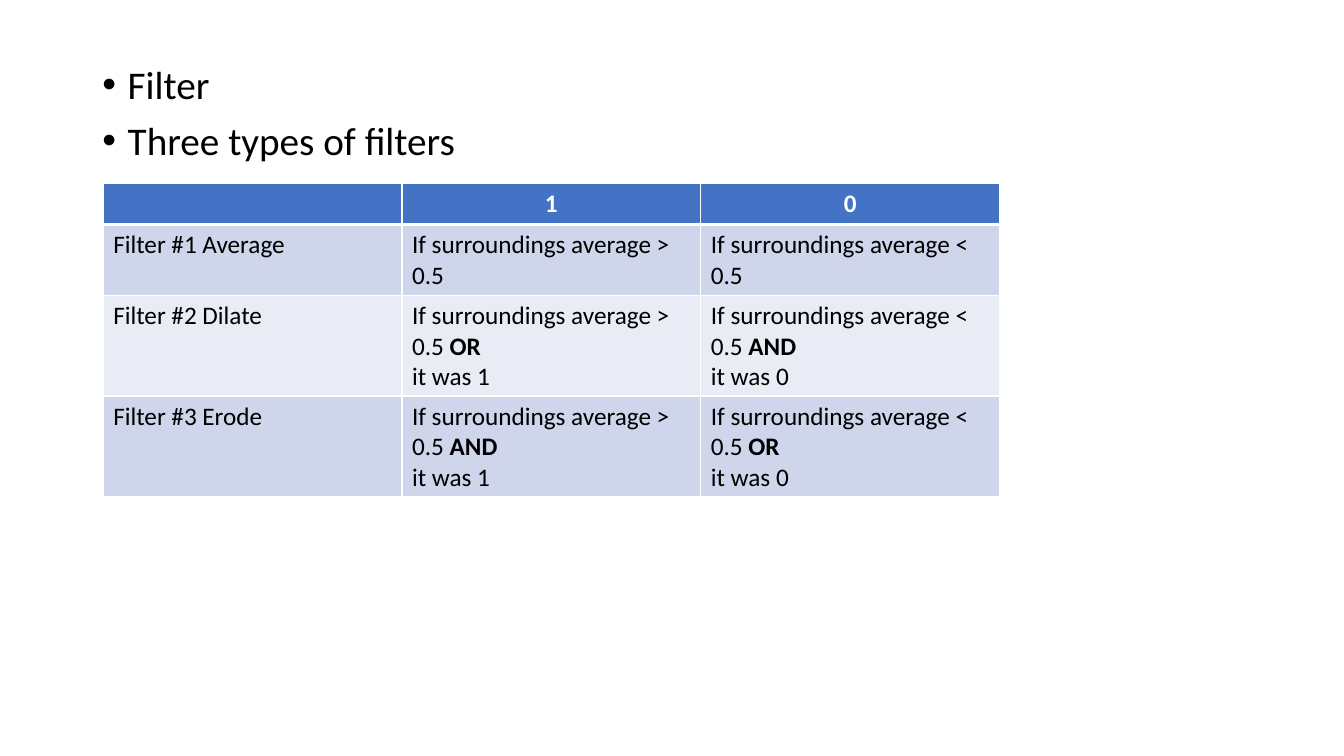
from pptx import Presentation
from pptx.util import Cm, Pt
from pptx.dml.color import RGBColor as RGB
from pptx.enum.text import PP_ALIGN as Align
from pptx.oxml import parse_xml
from pptx.oxml.ns import nsdecls

# Content: a cell is a list of lines, a line is (plain text, bold ending)
POINTS = ["Filter", "Three types of filters"]
HEADS = ["", "1", "0"]
MORE, LESS = "If surroundings average > 0.5", "If surroundings average < 0.5"
ROWS = [
    ("Filter #1 Average", [(MORE, "")], [(LESS, "")]),
    ("Filter #2 Dilate", [(MORE + " ", "OR"), ("it was 1", "")],
     [(LESS + " ", "AND"), ("it was 0", "")]),
    ("Filter #3 Erode", [(MORE + " ", "AND"), ("it was 1", "")],
     [(LESS + " ", "OR"), ("it was 0", "")]),
]
COLORS = {"head": "4472C4", "odd": "CFD5EA", "even": "E9EBF5",
          "line": "FFFFFF", "text": "000000"}
FONT = "Calibri"
COL, ROW = Cm(7.53), Cm(1.03)


def style(para, size, color, bold=None):
    font = para.font
    font.name, font.size, font.bold = FONT, Pt(size), bold
    font.color.rgb = RGB.from_string(COLORS[color])


def paint(cell, color, base):
    """Draw the cell's borders, then its fill."""
    props = cell._tc.get_or_add_tcPr()
    for side, width in zip("LRTB", (1, 1, 1, base)):
        props.append(parse_xml(
            f'<a:ln{side} {nsdecls("a")} w="{Pt(width)}"><a:solidFill>'
            f'<a:srgbClr val="{COLORS["line"]}"/></a:solidFill></a:ln{side}>'))
    cell.fill.solid()
    cell.fill.fore_color.rgb = RGB.from_string(COLORS[color])


def write(cell, lines):
    frame = cell.text_frame
    for i, (plain, strong) in enumerate(lines):
        para = frame.add_paragraph() if i else frame.paragraphs[0]
        style(para, 18, "text", False)
        para.add_run().text = plain
        if strong:
            run = para.add_run()
            run.text, run.font.bold = strong, True


deck = Presentation()
deck.slide_width, deck.slide_height = Cm(33.87), Cm(19.05)
slide = deck.slides.add_slide(deck.slide_layouts[6])

# Bullet points
frame = slide.shapes.add_textbox(Cm(2.33), Cm(1.52), Cm(29.21), Cm(15.65)).text_frame
frame.word_wrap = True
for i, point in enumerate(POINTS):
    para = frame.add_paragraph() if i else frame.paragraphs[0]
    para.text = point
    para.line_spacing, para.space_before = 0.9, Pt(10)
    style(para, 28, "text")
    props = para._p.get_or_add_pPr()
    props.set("marL", str(Cm(0.64)))
    props.set("indent", str(-Cm(0.64)))
    for mark in ('buFont %s typeface="Arial"', 'buChar %s char="•"'):
        props.insert_element_before(
            parse_xml(f'<a:{mark % nsdecls("a")}/>'), "a:tabLst", "a:defRPr", "a:extLst")

# Filter table: rows grow to fit their text
table = slide.shapes.add_table(len(ROWS) + 1, len(HEADS), Cm(2.6), Cm(4.63),
                               COL * len(HEADS), ROW * (len(ROWS) + 1)).table
for c, head in enumerate(HEADS):
    cell = table.cell(0, c)
    paint(cell, "head", 3)
    para = cell.text_frame.paragraphs[0]
    para.text, para.alignment = head, Align.CENTER
    style(para, 18, "line", True)
for r, (name, *rules) in enumerate(ROWS, 1):
    for c, lines in enumerate([[(name, "")], *rules]):
        cell = table.cell(r, c)
        paint(cell, "odd" if r % 2 else "even", 1)
        write(cell, lines)
    # Keep the thick rule under the heads
    if r == 1:
        for cell in table.rows[r].cells:
            cell._tc.tcPr.find("{*}lnT").set("w", str(Pt(3)))

deck.save("out.pptx")
